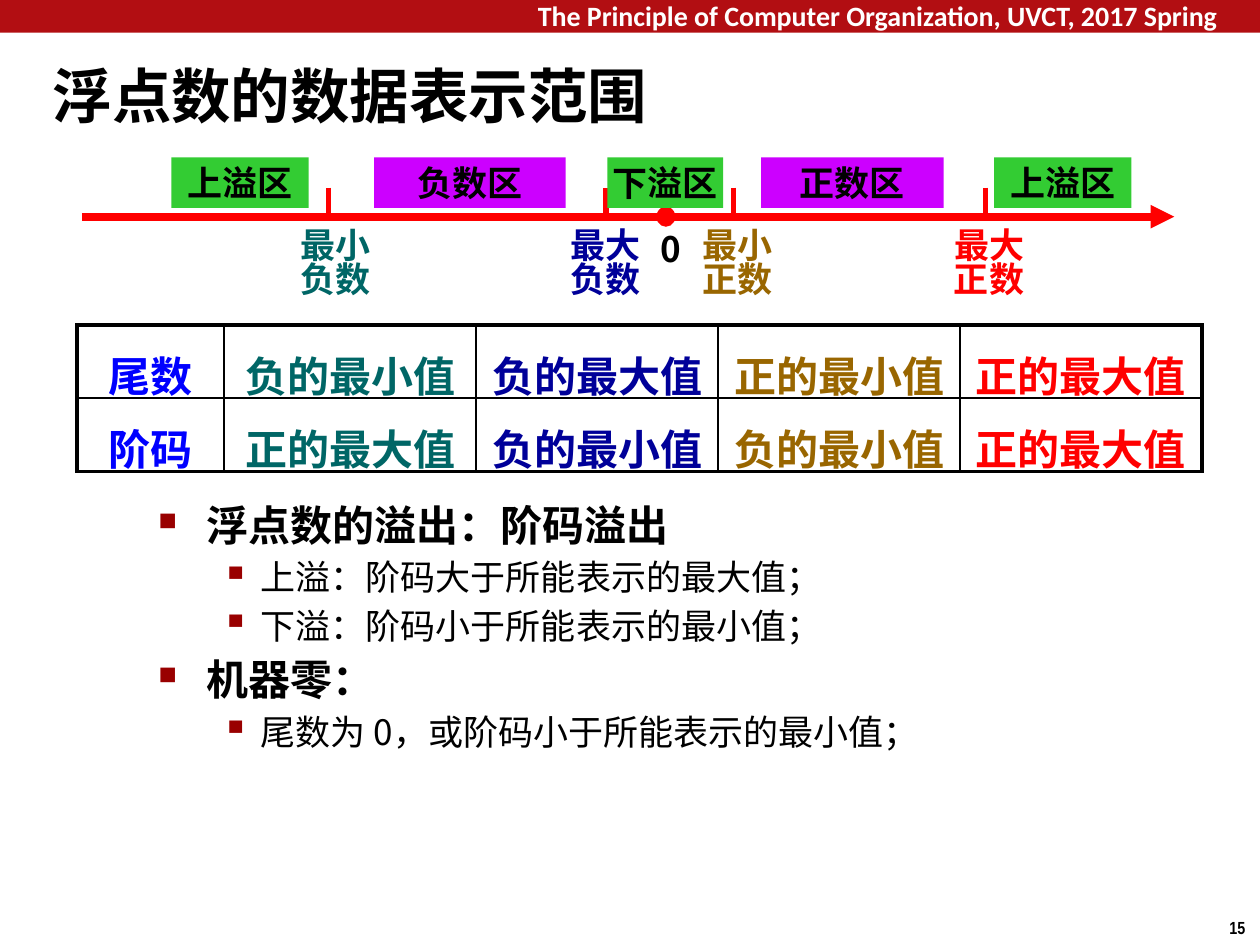
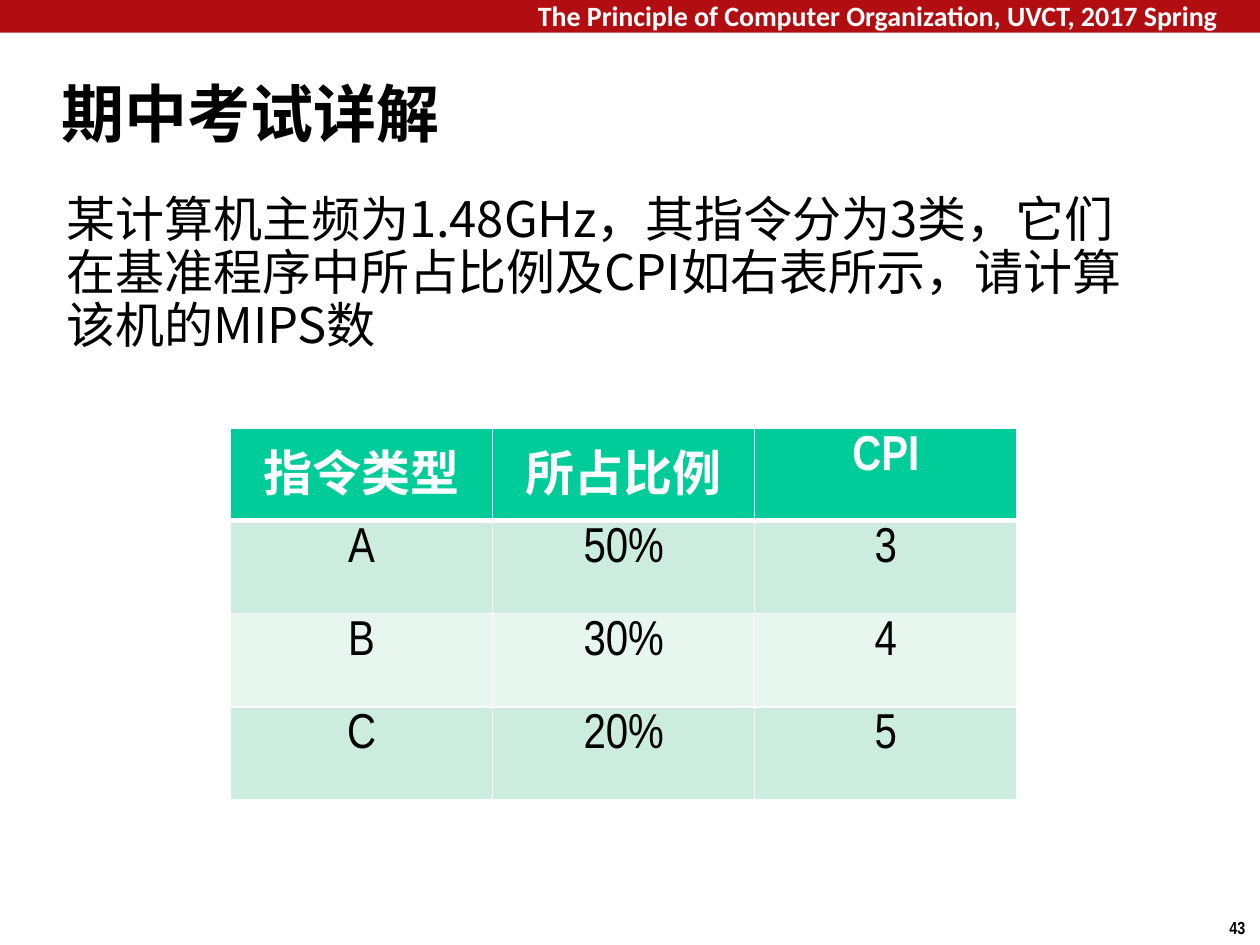
from typing import NamedTuple, Optional

from lxml import etree
from pptx import Presentation
from pptx.dml.color import RGBColor
from pptx.enum import shapes, text
from pptx.oxml import ns
from pptx import util as u

BLACK = RGBColor(0x00, 0x00, 0x00)
WHITE = RGBColor(0xFF, 0xFF, 0xFF)
BAND_RED = RGBColor(0xB2, 0x0E, 0x12)
BULLET_RED = RGBColor(0x99, 0x00, 0x00)
RED = RGBColor(0xFF, 0x00, 0x00)
BLUE = RGBColor(0x00, 0x00, 0xFF)
TEAL = RGBColor(0x00, 0x66, 0x66)
NAVY = RGBColor(0x00, 0x00, 0x99)
BROWN = RGBColor(0x99, 0x66, 0x00)
OVERFLOW_GREEN = RGBColor(0x33, 0xCC, 0x33)
RANGE_PURPLE = RGBColor(0xCC, 0x00, 0xFF)
HEAD_GREEN = RGBColor(0x00, 0xCC, 0x99)
ROW_GREENS = (RGBColor(0xCC, 0xEC, 0xDE), RGBColor(0xE7, 0xF6, 0xEF))

CJK, NARROW, CALIBRI = "Noto Sans CJK SC", "Arial Narrow", "Calibri"
LINE_HEIGHT = 1.18
COURSE = "The Principle of Computer Organization, UVCT, 2017 Spring"
LEFT, CENTER = text.PP_ALIGN.LEFT, text.PP_ALIGN.CENTER
TOP, MIDDLE = text.MSO_ANCHOR.TOP, text.MSO_ANCHOR.MIDDLE


class Box(NamedTuple):
    left: float
    top: float
    width: float
    height: float

    def lengths(self) -> list:
        return [u.Inches(value) for value in self]


class Zone(NamedTuple):
    label: str
    left: float
    width: float
    color: RGBColor


class Limit(NamedTuple):
    """An end of a representable range: its tick, its label and its table column."""
    label: str
    tick: float
    left: float
    width: float
    color: RGBColor
    mantissa: str
    exponent: str


class Bullet(NamedTuple):
    mark: str
    percent: int
    margin: float
    hanging: float
    size: int
    bold: bool


class Edges(NamedTuple):
    """Border widths of a cell in points, in the order the file format wants."""
    left: float
    right: float
    top: float
    bottom: float


MAIN = Bullet("■", 60, 0.38, 0.38, 24, True)
SUB = Bullet("▪", 110, 0.81, 0.31, 20, False)

ZONES = (
    Zone("上溢区", 1.36, 1.09, OVERFLOW_GREEN),
    Zone("负数区", 2.97, 1.52, RANGE_PURPLE),
    Zone("下溢区", 4.82, 0.92, OVERFLOW_GREEN),
    Zone("正数区", 6.04, 1.45, RANGE_PURPLE),
    Zone("上溢区", 7.89, 1.09, OVERFLOW_GREEN),
)
LIMITS = (
    Limit("最小负数", 2.61, 2.25, 0.82, TEAL, "负的最小值", "正的最大值"),
    Limit("最大负数", 4.81, 4.37, 0.87, NAVY, "负的最大值", "负的最小值"),
    Limit("最小正数", 5.82, 5.38, 0.95, BROWN, "正的最小值", "负的最小值"),
    Limit("最大正数", 7.82, 7.45, 0.80, RED, "正的最大值", "正的最大值"),
)
NOTES = (
    (MAIN, "浮点数的溢出：阶码溢出"),
    (SUB, "上溢：阶码大于所能表示的最大值；"),
    (SUB, "下溢：阶码小于所能表示的最小值；"),
    (MAIN, "机器零："),
    (SUB, "尾数为 0，或阶码小于所能表示的最小值；"),
)
QUESTION = ("某计算机主频为1.48GHz，其指令分为3类，它们在基准程序中所占比例及CPI"
            "如右表所示，请计算该机的MIPS数")
MIX = (
    ("指令类型", "所占比例", "CPI"),
    ("A", "50%", "3"),
    ("B", "30%", "4"),
    ("C", "20%", "5"),
)


def write(para, words: str, *, size: float, font: str = CJK, color: RGBColor = BLACK,
          bold: bool = False, align=LEFT, spacing=None, before: float = 0) -> None:
    para.alignment = align
    para.space_before = u.Pt(before)
    if spacing is not None:
        para.line_spacing = spacing
    span = para.add_run()
    span.text = words
    span.font.size = u.Pt(size)
    span.font.name = font
    span.font.bold = bold
    span.font.color.rgb = color


def exact(size: float, factor: float = 1) -> u.Pt:
    """Line pitch in points for text of this size."""
    return u.Pt(round(size * LINE_HEIGHT * factor, 1))


def add_text(page, box: Box, words: str, *, anchor=TOP, wrap: bool = True, **style) -> None:
    frame = page.shapes.add_textbox(*box.lengths()).text_frame
    frame.word_wrap = wrap
    frame.vertical_anchor = anchor
    write(frame.paragraphs[0], words, **style)


def add_shape(page, kind, box: Box, color: RGBColor):
    shape = page.shapes.add_shape(kind, *box.lengths())
    shape.shadow.inherit = False
    shape.fill.solid()
    shape.fill.fore_color.rgb = color
    shape.line.fill.background()
    return shape


def add_line(page, start: tuple, end: tuple, width: float, arrow: bool = False) -> None:
    ends = [u.Inches(value) for value in (*start, *end)]
    line = page.shapes.add_connector(shapes.MSO_CONNECTOR.STRAIGHT, *ends)
    line.line.color.rgb = RED
    line.line.width = u.Pt(width)
    properties = line.element.spPr
    if arrow:
        stroke = properties.find(ns.qn("a:ln"))
        etree.SubElement(stroke, ns.qn("a:tailEnd"), type="triangle")
    etree.SubElement(properties, ns.qn("a:effectLst"))


def set_bullet(para, bullet: Bullet) -> None:
    properties = para._p.get_or_add_pPr()
    properties.set("marL", str(u.Inches(bullet.margin)))
    properties.set("indent", str(-u.Inches(bullet.hanging)))
    color = etree.SubElement(properties, ns.qn("a:buClr"))
    etree.SubElement(color, ns.qn("a:srgbClr"), val=str(BULLET_RED))
    etree.SubElement(properties, ns.qn("a:buSzPct"), val=str(bullet.percent * 1000))
    etree.SubElement(properties, ns.qn("a:buChar"), char=bullet.mark)


def set_borders(cell, color: RGBColor, edges: Edges) -> None:
    properties = cell._tc.get_or_add_tcPr()
    for side, width in zip("LRTB", edges):
        line = etree.SubElement(properties, ns.qn(f"a:ln{side}"), w=str(u.Pt(width)))
        fill = etree.SubElement(line, ns.qn("a:solidFill"))
        etree.SubElement(fill, ns.qn("a:srgbClr"), val=str(color))


def fill_cell(cell, words: str, *, fill: Optional[RGBColor], border: RGBColor,
              edges: Edges, anchor=TOP, **style) -> None:
    set_borders(cell, border, edges)
    if fill is None:
        cell.fill.background()
    else:
        cell.fill.solid()
        cell.fill.fore_color.rgb = fill
    cell.vertical_anchor = anchor
    write(cell.text_frame.paragraphs[0], words, align=CENTER, **style)


def add_grid(page, box: Box, widths: list, rows: int):
    grid = page.shapes.add_table(rows, len(widths), *box.lengths()).table
    grid.first_row = grid.horz_banding = False
    for column, width in zip(grid.columns, widths):
        column.width = u.Inches(width)
    return grid


def add_page(deck, title: str, title_box: Box, title_size: int, title_font: str, number: int):
    page = deck.slides.add_slide(deck.slide_layouts[6])
    add_shape(page, shapes.MSO_SHAPE.RECTANGLE, Box(0, 0, 10, 0.26), BAND_RED)
    add_text(page, Box(4.17, -0.06, 5.83, 0.37), COURSE,
             size=16, font=CALIBRI, color=WHITE, bold=True)
    add_text(page, Box(9.66, 7.23, 0.34, 0.27), str(number), wrap=False,
             size=10, font=NARROW, bold=True)
    add_text(page, title_box, title, anchor=MIDDLE,
             size=title_size, font=title_font, bold=True)
    return page


def draw_number_line(page) -> None:
    axis = 1.72
    label_style = dict(size=20, bold=True, align=CENTER, spacing=exact(20, 0.8))
    add_line(page, (0.65, axis), (9.32, axis), 4.5, arrow=True)
    add_shape(page, shapes.MSO_SHAPE.OVAL, Box(5.21, 1.64, 0.15, 0.16), RED)
    add_text(page, Box(5.07, 1.83, 0.51, 0.37), "0", **label_style)
    for limit in LIMITS:
        add_line(page, (limit.tick, 1.49), (limit.tick, axis), 3)
        add_text(page, Box(limit.left, 1.8, limit.width, 0.64), limit.label,
                 color=limit.color, **label_style)
    for zone in ZONES:
        shape = add_shape(page, shapes.MSO_SHAPE.RECTANGLE,
                          Box(zone.left, 1.25, zone.width, 0.4), zone.color)
        shape.text_frame.word_wrap = False
        shape.text_frame.vertical_anchor = MIDDLE
        write(shape.text_frame.paragraphs[0], zone.label, size=20, bold=True, align=CENTER)


def draw_limit_table(page) -> None:
    thick, thin = 2.25, 1
    rows = (
        [("尾数", BLUE)] + [(limit.mantissa, limit.color) for limit in LIMITS],
        [("阶码", BLUE)] + [(limit.exponent, limit.color) for limit in LIMITS],
    )
    grid = add_grid(page, Box(0.61, 2.58, 8.93, 1.16), [1.17, 2, 1.92, 1.92, 1.92], len(rows))
    for r, row in enumerate(rows):
        for c, (words, color) in enumerate(row):
            edges = Edges(thick if c == 0 else thin,
                          thick if c == len(row) - 1 else thin,
                          thick if r == 0 else thin,
                          thick if r == len(rows) - 1 else thin)
            fill_cell(grid.cell(r, c), words, fill=None, border=BLACK, edges=edges,
                      anchor=MIDDLE if c else TOP, size=24, font="Arial",
                      color=color, bold=True, spacing=1.2)


def draw_notes(page) -> None:
    frame = page.shapes.add_textbox(*Box(1.16, 3.92, 8, 3.33).lengths()).text_frame
    frame.word_wrap = True
    for index, (bullet, words) in enumerate(NOTES):
        para = frame.add_paragraph() if index else frame.paragraphs[0]
        write(para, words, size=bullet.size, bold=bullet.bold,
              spacing=exact(bullet.size), before=bullet.size * 0.2)
        set_bullet(para, bullet)


def draw_mix_table(page) -> None:
    grid = add_grid(page, Box(1.83, 3.4, 6.24, 2.95), [2.08] * 3, len(MIX))
    for r, row in enumerate(MIX):
        head = r == 0
        grid.rows[r].height = u.Inches(0.73 if head else 0.74)
        edges = Edges(1, 1, 3 if r == 1 else 1, 3 if head else 1)
        for c, words in enumerate(row):
            fill_cell(grid.cell(r, c), words, border=WHITE, edges=edges,
                      fill=HEAD_GREEN if head else ROW_GREENS[(r - 1) % 2],
                      size=28, font=NARROW, bold=head, color=WHITE if head else BLACK)


def main() -> None:
    deck = Presentation()
    deck.slide_width, deck.slide_height = u.Inches(10), u.Inches(7.5)

    page = add_page(deck, "浮点数的数据表示范围", Box(0.32, 0.54, 8.83, 0.42), 34, CJK, 15)
    draw_notes(page)
    draw_number_line(page)
    draw_limit_table(page)

    page = add_page(deck, "期中考试详解", Box(0.39, 0.48, 8.3, 0.83), 36, CALIBRI, 43)
    add_text(page, Box(0.43, 1.49, 8.64, 5.44), QUESTION, size=28, spacing=exact(28, 0.92))
    draw_mix_table(page)

    deck.save("out.pptx")


if __name__ == "__main__":
    main()
